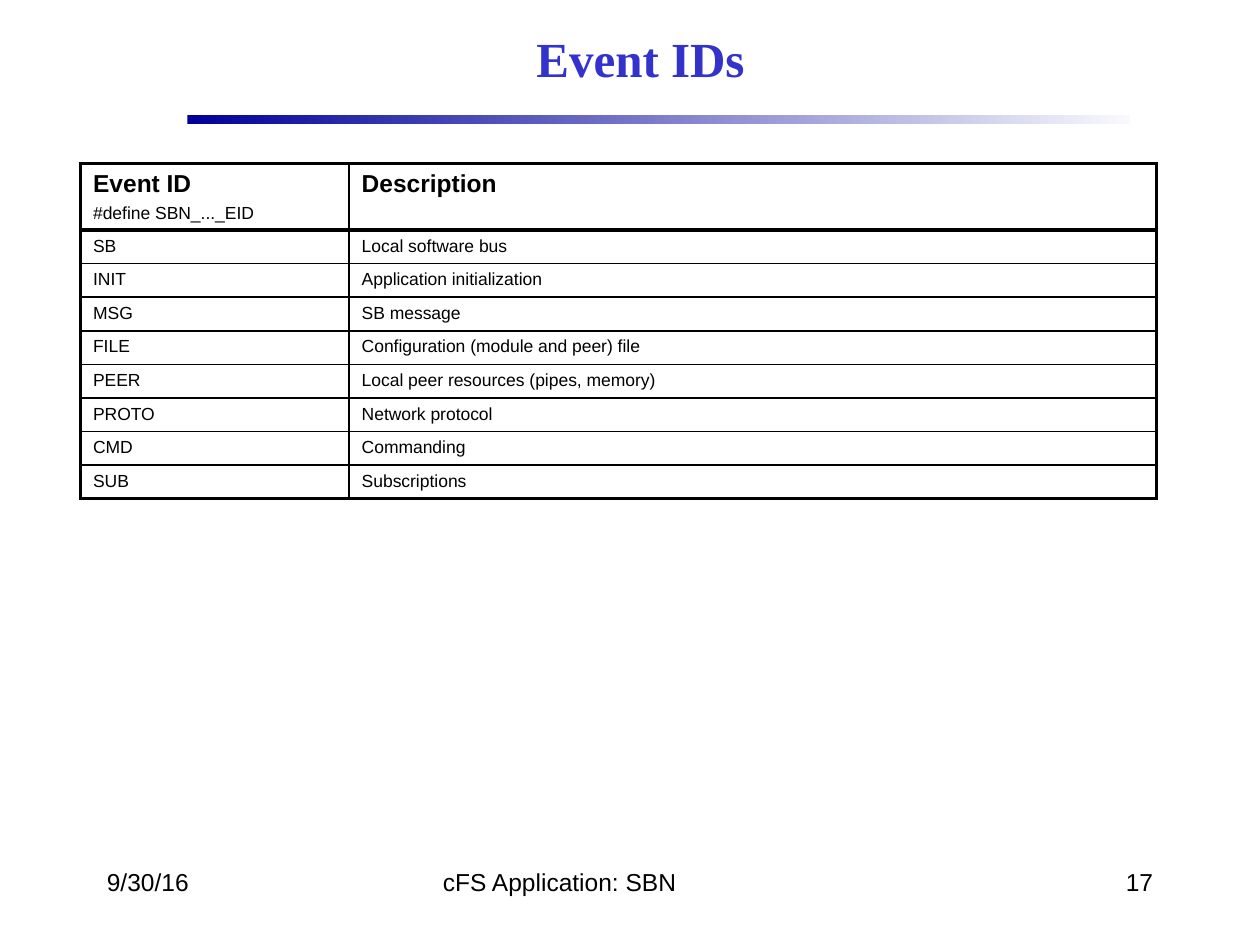
from dataclasses import dataclass

from lxml import etree
from pptx import Presentation
from pptx.dml import color
from pptx.enum import shapes, text
from pptx.oxml import ns
from pptx.util import Pt

COLORS = {"title": "3333CC", "bar": "000099", "fade": "F9F9FD", "ink": "000000", "paper": "FFFFFF"}
THICK, THIN = 2.25, 1


@dataclass
class Line:
    text: str
    size: float = 10
    bold: bool = False
    before: float = 0


@dataclass
class Footer:
    text: str
    left: float
    width: float
    align: text.PP_ALIGN = text.PP_ALIGN.LEFT


ROWS = [
    ([Line("Event ID", 14, True), Line("#define SBN_..._EID", before=3.5)], [Line("Description", 14, True)]),
    *(([Line(event)], [Line(description)]) for event, description in [
        ("SB", "Local software bus"),
        ("INIT", "Application initialization"),
        ("MSG", "SB message"),
        ("FILE", "Configuration (module and peer) file"),
        ("PEER", "Local peer resources (pipes, memory)"),
        ("PROTO", "Network protocol"),
        ("CMD", "Commanding"),
        ("SUB", "Subscriptions"),
    ]),
]
FOOTERS = [
    Footer("9/30/16", 54, 150),
    Footer("cFS Application: SBN", 246, 228),
    Footer("17", 516, 150, text.PP_ALIGN.RIGHT),
]


def rgb(name: str) -> color.RGBColor:
    return color.RGBColor.from_string(COLORS[name])


def add_run(p, line: Line, font: str = "Arial", ink: str = "ink") -> None:
    r = p.add_run()
    r.text = line.text
    r.font.name, r.font.size, r.font.bold = font, Pt(line.size), line.bold
    r.font.color.rgb = rgb(ink)


def set_borders(cell, widths: dict[str, float]) -> None:
    tc_pr = cell._tc.get_or_add_tcPr()
    for i, (side, width) in enumerate(widths.items()):
        ln = etree.Element(ns.qn(f"a:ln{side}"), w=str(Pt(width)))
        fill = etree.SubElement(ln, ns.qn("a:solidFill"))
        etree.SubElement(fill, ns.qn("a:srgbClr"), val=COLORS["ink"])
        tc_pr.insert(i, ln)


def add_title(s) -> None:
    sp = s.shapes.title
    sp.left, sp.top, sp.width, sp.height = Pt(108), Pt(6), Pt(516), Pt(54)
    tf = sp.text_frame
    tf.vertical_anchor = text.MSO_ANCHOR.MIDDLE
    p = tf.paragraphs[0]
    p.alignment = text.PP_ALIGN.CENTER
    add_run(p, Line("Event IDs", 28, True), "Times New Roman", "title")


def add_bar(s) -> None:
    sp = s.shapes.add_shape(shapes.MSO_SHAPE.RECTANGLE, Pt(107), Pt(66), Pt(539), Pt(5))
    sp.shadow.inherit = False
    sp.line.fill.background()
    sp.fill.gradient()
    sp.fill.gradient_angle = 0
    for stop, name, position in zip(sp.fill.gradient_stops, ("bar", "fade"), (0, 1)):
        stop.color.rgb = rgb(name)
        stop.position = position


def add_events(s) -> None:
    frame = s.shapes.add_table(len(ROWS), 2, Pt(46), Pt(93.5), Pt(615), Pt(192))
    table = frame.table
    table.horz_banding = False
    for column, width in zip(table.columns, (153.5, 461.5)):
        column.width = Pt(width)
    last = len(ROWS) - 1
    for i, row in enumerate(ROWS):
        table.rows[i].height = Pt(19.2 if i else 38)
        for j, lines in enumerate(row):
            cell = table.cell(i, j)
            cell.fill.solid()
            cell.fill.fore_color.rgb = rgb("paper")
            set_borders(cell, {
                "L": THIN if j else THICK,
                "R": THICK if j else THIN,
                "T": THICK if i < 2 else THIN,
                "B": THICK if i in (0, last) else THIN,
            })
            tf = cell.text_frame
            for k, line in enumerate(lines):
                p = tf.add_paragraph() if k else tf.paragraphs[0]
                p.space_before = Pt(line.before)
                add_run(p, line)


def add_footer(s, footer: Footer) -> None:
    sp = s.shapes.add_textbox(Pt(footer.left), Pt(492), Pt(footer.width), Pt(36))
    tf = sp.text_frame
    tf.word_wrap = True
    p = tf.paragraphs[0]
    p.alignment = footer.align
    add_run(p, Line(footer.text, 14))


prs = Presentation()
prs.slide_width, prs.slide_height = Pt(720), Pt(540)
s = prs.slides.add_slide(prs.slide_layouts[5])
add_bar(s)
add_title(s)
add_events(s)
for footer in FOOTERS:
    add_footer(s, footer)
prs.save("out.pptx")
